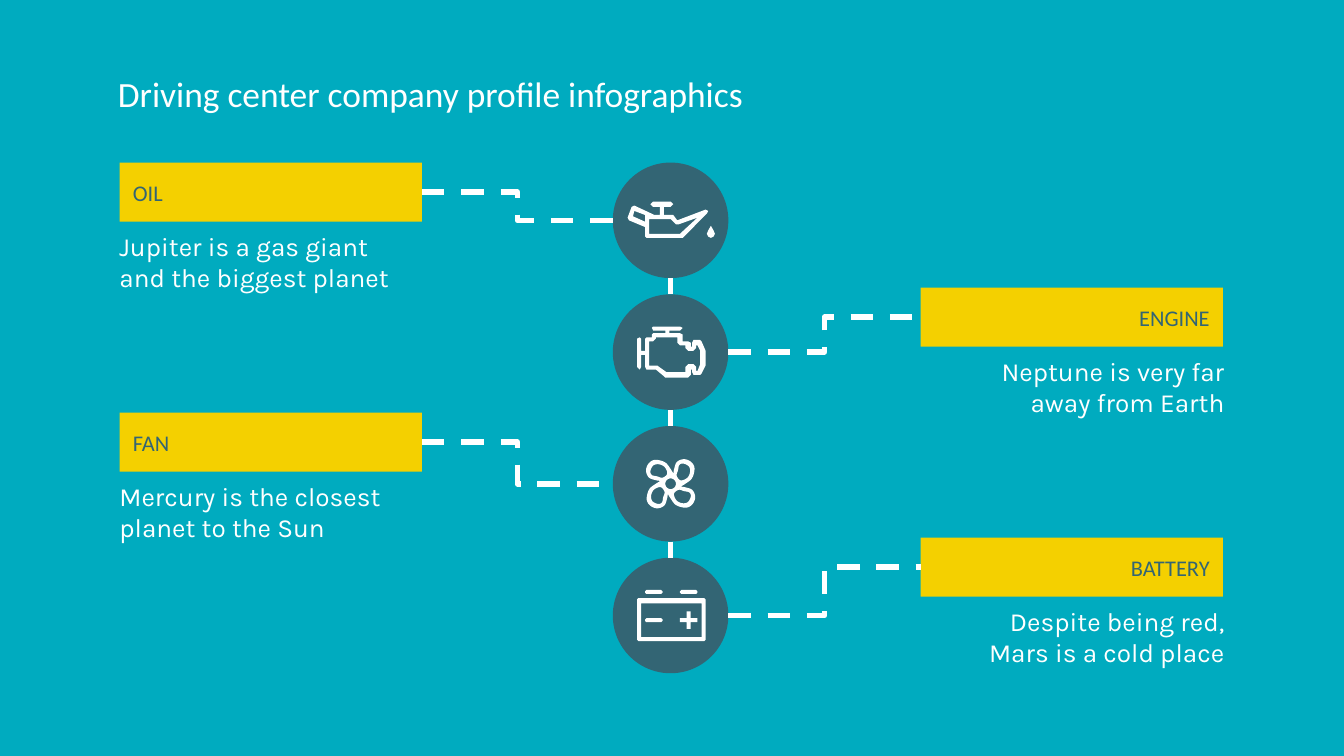
import pptx
import pptx.util
import pptx.dml.color
import pptx.enum.dml
import pptx.enum.shapes
import pptx.enum.text
import pptx.oxml.ns
import lxml.etree

In, Pt = pptx.util.Inches, pptx.util.Pt
SHAPE = pptx.enum.shapes.MSO_SHAPE
CONNECTOR = pptx.enum.shapes.MSO_CONNECTOR
ALIGN = pptx.enum.text.PP_ALIGN
ANCHOR = pptx.enum.text.MSO_ANCHOR

TEAL, SLATE, YELLOW, WHITE = "00ABBF", "336574", "F4D000", "FFFFFF"
TITLE = "Driving center company profile infographics"
PARTS = [
    ("OIL", "Jupiter is a gas giant and the biggest planet"),
    ("ENGINE", "Neptune is very far away from Earth"),
    ("FAN", "Mercury is the closest planet to the Sun"),
    ("BATTERY", "Despite being red, Mars is a cold place"),
]

# Layout in inches
SLIDE_W = 10
SLIDE_H = SLIDE_W * 9 / 16
CENTRE_X, FIRST_Y, DIAMETER, CIRCLE_STEP = 4.99, 1.64, 0.86, 0.98
LABEL_TOP, LABEL_STEP, LABEL_W, LABEL_H = 1.21, 0.93, 2.25, 0.44
LABEL_X, BODY_X = (0.89, 6.85), (0.79, 6.96)
BODY_DROP, BODY_H = 0.45, 0.57


def bar(left, top, right, bottom):
    """Contour of a box with corners cut by one unit."""
    return [(left + 1, top), (right - 1, top), (right, top + 1), (right, bottom - 1),
            (right - 1, bottom), (left + 1, bottom), (left, bottom - 1), (left, top + 1)]


def four_turns(points):
    """The points repeated at each quarter turn about the centre."""
    turns = [points]
    for _ in range(3):
        turns.append([(-y, x) for x, y in turns[-1]])
    return turns


def smooth(points, steps=5):
    """Closed Catmull-Rom curve through the points."""
    curve, n = [], len(points)
    for i in range(n):
        quad = [points[(i + k) % n] for k in (-1, 0, 1, 2)]
        for t in (k / steps for k in range(steps)):
            curve.append(tuple(
                (2 * b + (c - a) * t + (2 * a - 5 * b + 4 * c - d) * t ** 2
                 + (3 * b - a - 3 * c + d) * t ** 3) / 2
                for a, b, c, d in zip(*quad)))
    return curve


# Icons: pieces made of contours, in hundredths of an inch from the circle's centre
OIL_CAN = [
    [(-13, -14), (-15, -12), (-13, -10), (-8, -10), (-8, -4), (-12, -4), (-27, -11),
     (-29, -10), (-32, -2), (-31, 0), (-19, 5), (-19, 12), (-18, 13), (9, 13), (27, -5),
     (28, -7), (26, -8), (5, 0), (2, -4), (-5, -4), (-5, -10), (0, -10), (2, -12), (0, -14)],
    [(-27, -7), (-19, -4), (-19, 1), (-28, -3)],
    [(20, -2), (7, 10), (-16, 10), (-16, -1), (0, -1), (4, 3), (6, 3)],
]
OIL_DROP = [[(30, 4), (28, 7.5), (27, 10), (28, 12), (30, 13), (32, 12), (33, 10), (32, 7.5)]]
ENGINE = [
    [(-13, -19), (-14, -18), (-13, -16), (-4, -16), (-4, -14), (-13, -14), (-14, -13),
     (-14, -11), (-18, -11), (-19, -10), (-19, -1), (-22, -1), (-22, -10), (-23, -11),
     (-25, -10), (-25, 11), (-23, 13), (-22, 11), (-22, 2), (-19, 2), (-19, 11), (-18, 13),
     (-11, 13), (-5, 18), (-4, 19), (13, 19), (15, 17), (15, 13), (16, 13), (16, 15),
     (17, 17), (22, 17), (23, 16), (26, 10), (26, -1), (23, -8), (22, -9), (17, -9),
     (16, -7), (16, -4), (15, -4), (15, -7), (13, -8), (9, -8), (9, -13), (7, -14),
     (-1, -14), (-1, -16), (7, -16), (9, -18), (7, -19)],
    [(5, -11), (5, -7), (7, -5), (11, -5), (11, -3), (13, -1), (17, -1), (19, -3), (19, -5),
     (20, -5), (22, -1), (22, 9), (20, 14), (19, 14), (19, 11), (17, 9), (13, 9), (11, 11),
     (11, 15), (-3, 15), (-10, 10), (-16, 10), (-16, -8), (-13, -8), (-11, -10), (-11, -11)],
]
BLADE_EDGE = [(2, -8), (2.5, -10.5), (4.5, -16), (9.5, -18.3), (14.5, -16.8),
              (17.5, -13), (17.5, -8.5), (15.5, -3.5), (11, 0)]
BLADE_HOLE = [(9.5, -15), (13.5, -13), (14.5, -9), (12.5, -4.5), (7.5, -2.5),
              (4.5, -6), (5.5, -10), (6.5, -14)]
HUB = [(0, -4), (2.8, -2.8)]
FAN = [smooth(sum(four_turns(BLADE_EDGE), [])), smooth(sum(four_turns(HUB), []))]
FAN += [smooth(hole) for hole in four_turns(BLADE_HOLE)]
BATTERY_CASE = [bar(-25, -13, 26, 19), [(-22, -9), (23, -9), (23, 16), (-22, 16)]]
PLUS = [[(12, -3), (15, -3), (15, 2), (20, 2), (20, 5), (15, 5),
         (15, 10), (12, 10), (12, 5), (7, 5), (7, 2), (12, 2)]]
MINUS = [bar(-19, 2, -6, 5)]
TERMINALS = [[bar(-19, -19, -6, -16)], [bar(7, -19, 20, -16)]]
ICONS = [[OIL_CAN, OIL_DROP], [ENGINE], [FAN], [BATTERY_CASE, MINUS, PLUS, *TERMINALS]]


def rgb(code):
    return pptx.dml.color.RGBColor.from_string(code)


def paint(s, color):
    s.shadow.inherit = False
    s.fill.solid()
    s.fill.fore_color.rgb = rgb(color)
    s.line.fill.background()


def write(s, text, size, font, color, align=ALIGN.LEFT, anchor=ANCHOR.MIDDLE):
    tf = s.text_frame
    tf.word_wrap = True
    tf.vertical_anchor = anchor
    tf.margin_left = tf.margin_right = tf.margin_top = tf.margin_bottom = In(0.1)
    p = tf.paragraphs[0]
    p.alignment = align
    r = p.add_run()
    r.text = text
    r.font.size, r.font.name, r.font.color.rgb = Pt(size), font, rgb(color)


def add_icon_piece(shapes, contours, y):
    contours = [[(In(CENTRE_X + px / 100), In(y + py / 100)) for px, py in c] for c in contours]
    builder = shapes.build_freeform(*contours[0][0], scale=1.0)
    for i, contour in enumerate(contours):
        if i:
            builder.move_to(*contour[0])
        builder.add_line_segments(contour[1:], close=True)
    paint(builder.convert_to_shape(), WHITE)


def add_link(shapes, kind, x1, y1, x2, y2):
    s = shapes.add_connector(kind, In(x1), In(y1), In(x2), In(y2))
    s.line.color.rgb = rgb(WHITE)
    s.line.width = Pt(3)
    lxml.etree.SubElement(s._element.spPr, pptx.oxml.ns.qn("a:effectLst"))
    return s


def main():
    prs = pptx.Presentation()
    prs.slide_width, prs.slide_height = In(SLIDE_W), In(SLIDE_H)
    slide = prs.slides.add_slide(prs.slide_layouts[6])
    slide.background.fill.solid()
    slide.background.fill.fore_color.rgb = rgb(TEAL)
    shapes = slide.shapes
    radius = DIAMETER / 2

    s = shapes.add_textbox(In(0.78), In(0.44), In(8.44), In(0.63))
    write(s, TITLE, 19, "Calibri", WHITE, anchor=ANCHOR.TOP)

    for i, ((name, body), icon) in enumerate(zip(PARTS, ICONS)):
        side = i % 2  # 0 left, 1 right
        align = (ALIGN.LEFT, ALIGN.RIGHT)[side]
        y = FIRST_Y + i * CIRCLE_STEP
        top = LABEL_TOP + i * LABEL_STEP
        middle = top + LABEL_H / 2

        circle = shapes.add_shape(SHAPE.OVAL, In(CENTRE_X - radius), In(y - radius),
                                  In(DIAMETER), In(DIAMETER))
        paint(circle, SLATE)
        for piece in icon:
            add_icon_piece(shapes, piece, y)

        label = shapes.add_shape(SHAPE.RECTANGLE, In(LABEL_X[side]), In(top),
                                 In(LABEL_W), In(LABEL_H))
        paint(label, YELLOW)
        write(label, name, 12, "Calibri", SLATE, align)
        s = shapes.add_textbox(In(BODY_X[side]), In(top + BODY_DROP), In(LABEL_W), In(BODY_H))
        write(s, body, 14, "Karla", WHITE, align)

        if side == 0:
            ends = (LABEL_X[0] + LABEL_W, middle, CENTRE_X - radius, y)
        else:
            ends = (CENTRE_X + radius, y, LABEL_X[1], middle)
        link = add_link(shapes, CONNECTOR.ELBOW, *ends)
        link.line.dash_style = pptx.enum.dml.MSO_LINE.DASH
        if side == 0:
            link.begin_connect(label, 3)
        else:
            link.end_connect(label, 1)

        if i:
            add_link(shapes, CONNECTOR.STRAIGHT, CENTRE_X, y - CIRCLE_STEP + radius,
                     CENTRE_X, y - radius)

    prs.save("out.pptx")


if __name__ == "__main__":
    main()
